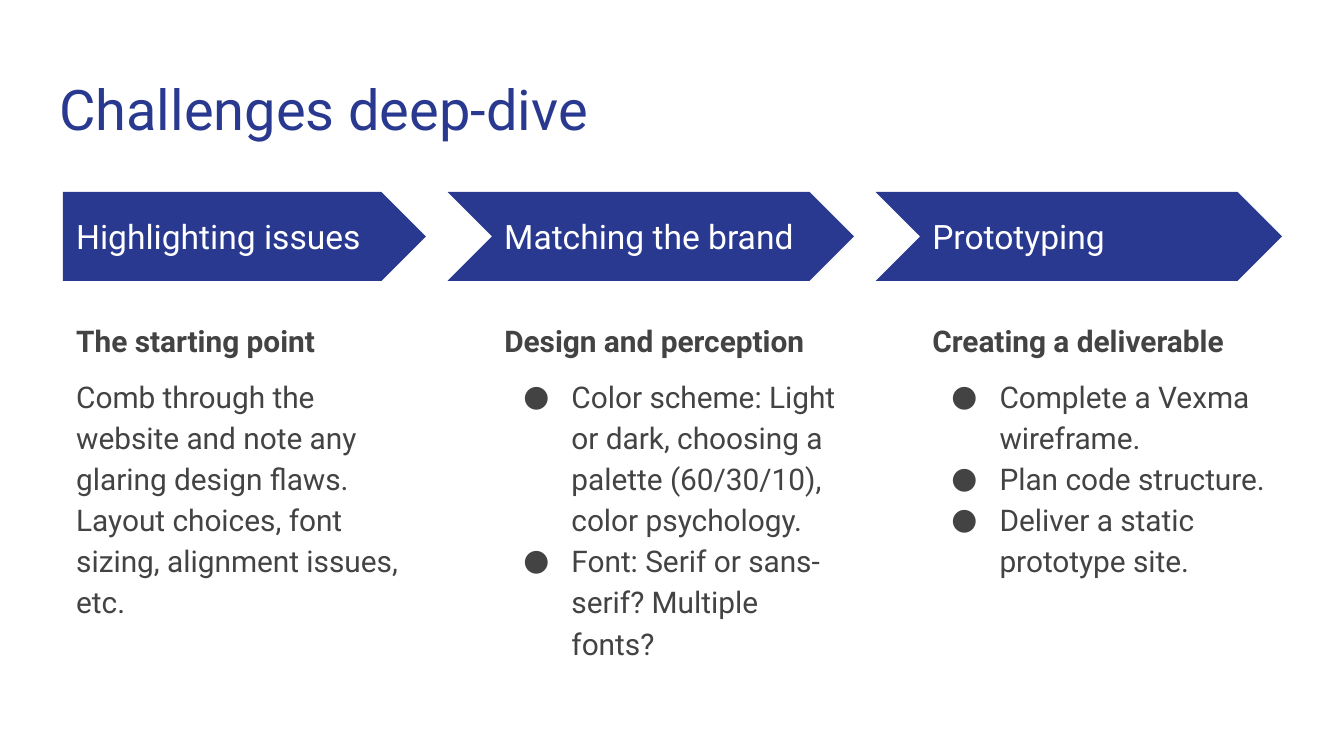
import pptx
import pptx.util
import pptx.dml.color
import pptx.enum.shapes
import pptx.enum.text
import pptx.oxml
import pptx.oxml.ns

Cm = pptx.util.Cm
Pt = pptx.util.Pt
KIND = pptx.enum.shapes.MSO_SHAPE
ANCHOR = pptx.enum.text.MSO_ANCHOR
HUES = {"blue": "2A3990", "gray": "434343", "white": "FFFFFF"}
LEFT, STEP, WIDTH, NOTCH = 1.19, 8.09, 6.86, 0.82
STEPS = [
    ("Highlighting issues", "The starting point", False,
     ["Comb through the website and note any glaring design flaws. "
      "Layout choices, font sizing, alignment issues, etc."]),
    ("Matching the brand", "Design and perception", True,
     ["Color scheme: Light or dark, choosing a palette (60/30/10), color psychology.",
      "Font: Serif or sans-serif? Multiple fonts?"]),
    ("Prototyping", "Creating a deliverable", True,
     ["Complete a Vexma wireframe.", "Plan code structure.",
      "Deliver a static prototype site."]),
]


class Deck:
    """Hold the style and the current slide, and draw each kind of element."""

    def __init__(self):
        self.font = "Roboto"
        self.show = pptx.Presentation()
        self.show.slide_width, self.show.slide_height = Cm(25.4), Cm(14.29)
        self.slide = self.show.slides.add_slide(self.show.slide_layouts[4])
        self.slots = list(self.slide.placeholders)[1:]

    def hue(self, name):
        return pptx.dml.color.RGBColor.from_string(HUES[name])

    def place(self, shape, x, y, w, h):
        shape.left, shape.top, shape.width, shape.height = Cm(x), Cm(y), Cm(w), Cm(h)

    def frame(self, shape, anchor=ANCHOR.TOP):
        text = shape.text_frame
        text.word_wrap = True
        text.auto_size = pptx.enum.text.MSO_AUTO_SIZE.NONE
        text.vertical_anchor = anchor
        text.margin_left = text.margin_right = Cm(0.25)
        text.margin_top = text.margin_bottom = Cm(0.25)
        return text

    def add_run(self, para, text, size, hue, bold=False):
        para.alignment = pptx.enum.text.PP_ALIGN.LEFT
        run = para.add_run()
        run.text = text
        run.font.name, run.font.size, run.font.bold = self.font, Pt(size), bold
        run.font.color.rgb = self.hue(hue)

    def mark(self, para, dot):
        props = para._p.get_or_add_pPr()
        props.set("marL", str(Cm(1.27) if dot else 0))
        props.set("indent", str(Cm(-0.91) if dot else 0))
        parts = ['<a:buNone %s/>']
        if dot:
            parts = ['<a:buClr %s><a:srgbClr val="' + HUES["gray"] + '"/></a:buClr>',
                     '<a:buFont %s typeface="' + self.font + '"/>',
                     '<a:buChar %s char="●"/>']
        for part in parts:
            props.append(pptx.oxml.parse_xml(part % pptx.oxml.ns.nsdecls("a")))

    def title(self, text):
        shape = self.slide.shapes.title
        self.place(shape, 0.87, 1.15, 23.67, 1.68)
        self.add_run(self.frame(shape).paragraphs[0], text, 30, "blue")

    def arrow(self, kind, x, w):
        shape = self.slide.shapes.add_shape(kind, Cm(x), Cm(3.63), Cm(w), Cm(1.68))
        shape.adjustments[0] = 0.5
        shape.shadow.inherit = False
        shape.fill.solid()
        shape.fill.fore_color.rgb = self.hue("blue")
        shape.line.fill.background()

    def label(self, text, x):
        box = self.slide.shapes.add_textbox(Cm(x), Cm(4.04), Cm(6.27), Cm(0.86))
        self.add_run(self.frame(box, ANCHOR.MIDDLE).paragraphs[0], text, 18, "white")

    def body(self, slot, x, head, dots, lines):
        self.place(slot, x, 5.74, WIDTH, 7.37)
        frame = self.frame(slot)
        for row, text in enumerate([head] + lines):
            para = frame.add_paragraph() if row else frame.paragraphs[0]
            self.mark(para, dots and row > 0)
            para.line_spacing = 1.15
            para.space_before = Pt(8 if row == 1 else 0)
            para.space_after = Pt(0)
            self.add_run(para, text, 16, "gray", bold=row == 0)

    def save(self):
        for slot in self.slots[len(STEPS):]:
            slot.element.getparent().remove(slot.element)
        self.show.save("out.pptx")


def main():
    deck = Deck()
    deck.title("Challenges deep-dive")
    for col, (name, head, dots, lines) in enumerate(STEPS):
        x = LEFT + col * STEP
        if col:
            deck.arrow(KIND.CHEVRON, x - NOTCH, WIDTH + NOTCH)
        else:
            deck.arrow(KIND.PENTAGON, x, WIDTH)
        deck.label(name, x)
        deck.body(deck.slots[col], x, head, dots, lines)
    deck.save()


if __name__ == "__main__":
    main()
